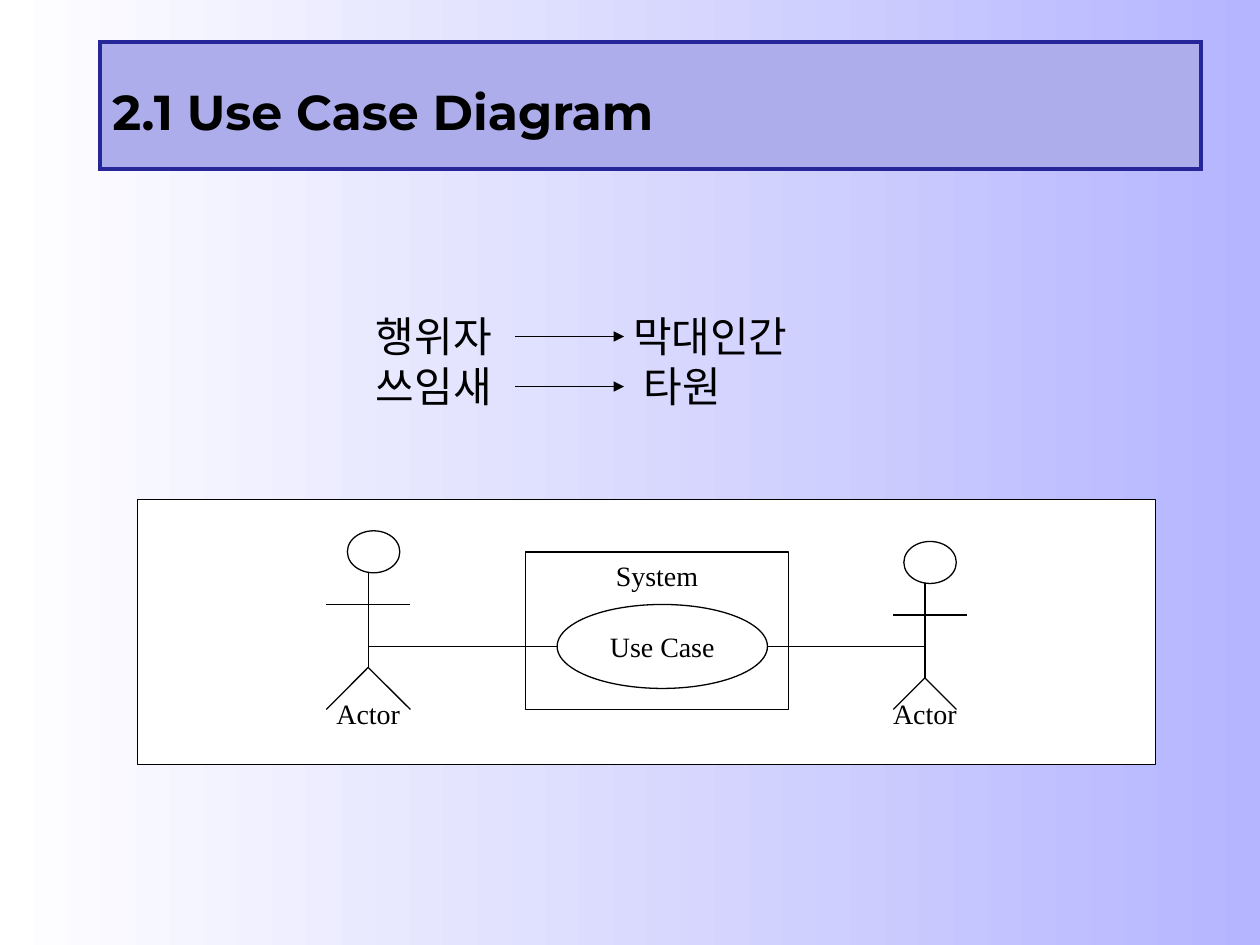
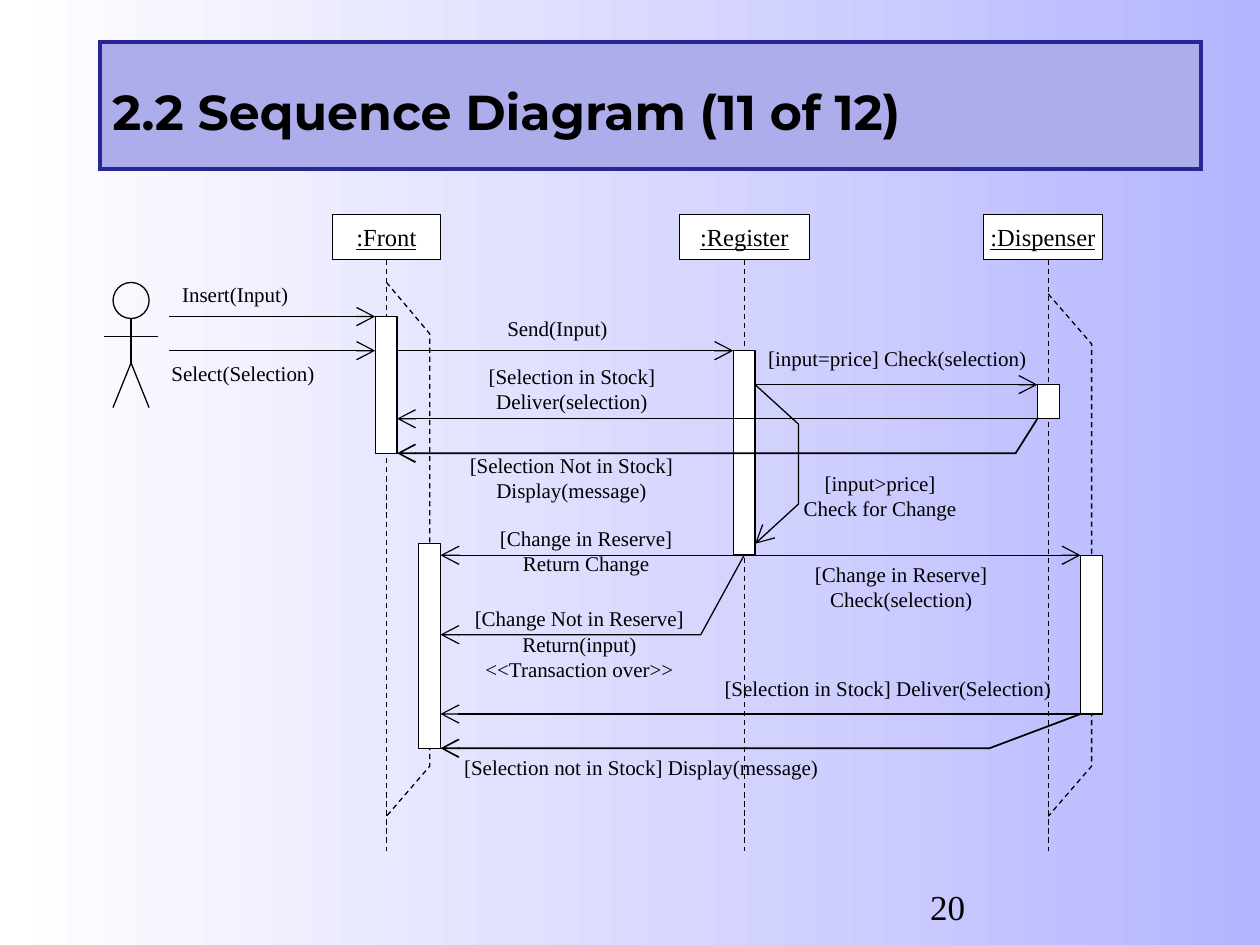
from dataclasses import dataclass

from lxml import etree
from pptx import Presentation
from pptx import util as u
from pptx.dml.color import RGBColor
from pptx.enum import dml, shapes, text
from pptx.oxml import ns


@dataclass(frozen=True)
class Theme:
    ink: RGBColor = RGBColor.from_string("000000")
    paper: RGBColor = RGBColor.from_string("FFFFFF")
    lavender: RGBColor = RGBColor.from_string("B5B5FF")
    band: RGBColor = RGBColor.from_string("ADADEB")
    band_edge: RGBColor = RGBColor.from_string("262699")
    body_font: str = "Times New Roman"
    title_font: str = "Montserrat"
    title: float = 28
    terms: float = 24
    number: float = 20
    figure: float = 16
    object: float = 14
    message: float = 12
    thin: float = 0.75
    medium: float = 1
    thick: float = 2.25


theme = Theme()
RECT = shapes.MSO_SHAPE.RECTANGLE
OVAL = shapes.MSO_SHAPE.OVAL
MIDDLE = text.MSO_ANCHOR.MIDDLE
TOP = text.MSO_ANCHOR.TOP
CENTER = text.PP_ALIGN.CENTER
LEFT = text.PP_ALIGN.LEFT


def add_box(page, place, kind=None, words="", size=theme.message, anchor=TOP, align=CENTER):
    lengths = [u.Pt(value) for value in place]
    if kind is None:
        box = page.shapes.add_textbox(*lengths)
    else:
        box = page.shapes.add_shape(kind, *lengths)
        box.shadow.inherit = False
        box.fill.solid()
        box.fill.fore_color.rgb = theme.paper
        box.line.color.rgb = theme.ink
        box.line.width = u.Pt(theme.thin)
    frame = box.text_frame
    frame.word_wrap = align == LEFT
    frame.vertical_anchor = anchor
    if words:
        frame.text = words
        for para in frame.paragraphs:
            para.alignment = align
            for span in para.runs:
                span.font.name = theme.body_font
                span.font.size = u.Pt(size)
                span.font.color.rgb = theme.ink
    return box


def add_path(page, points, head=None, head_size="med", dashed=False, weight=theme.thin):
    corners = [(u.Pt(x), u.Pt(y)) for x, y in points]
    if len(corners) == 2:
        line = page.shapes.add_connector(shapes.MSO_CONNECTOR.STRAIGHT, *corners[0], *corners[1])
        etree.SubElement(line.element.spPr, ns.qn("a:effectLst"))
    else:
        builder = page.shapes.build_freeform(*corners[0], scale=1.0)
        builder.add_line_segments(corners[1:], close=False)
        line = builder.convert_to_shape()
        line.shadow.inherit = False
        line.fill.background()
    line.line.color.rgb = theme.ink
    line.line.width = u.Pt(weight)
    if dashed:
        line.line.dash_style = dml.MSO_LINE.DASH
    if head:
        outline = line.element.spPr.find(ns.qn("a:ln"))
        etree.SubElement(outline, ns.qn("a:tailEnd"), type=head, w=head_size, len=head_size)


deck = Presentation()
deck.slide_width = u.Pt(720)
deck.slide_height = u.Pt(540)

backdrop = deck.slide_master.background.fill
backdrop.gradient()
backdrop.gradient_angle = 0
for stop, color in zip(backdrop.gradient_stops, (theme.paper, theme.lavender)):
    stop.color.rgb = color

pages = []
for heading in ("2.1 Use Case Diagram", "2.2 Sequence Diagram (11 of 12)"):
    page = deck.slides.add_slide(deck.slide_layouts[6])
    band = add_box(page, (57.2, 24.1, 629.3, 72.4), RECT, heading, theme.title, MIDDLE, LEFT)
    band.fill.fore_color.rgb = theme.band
    band.line.color.rgb = theme.band_edge
    band.line.width = u.Pt(theme.thick)
    etree.SubElement(band.element.spPr.find(ns.qn("a:ln")), ns.qn("a:miter"), lim="800000")
    para = band.text_frame.paragraphs[0]
    para.line_spacing = 1.2
    para.runs[0].font.name = theme.title_font
    para.runs[0].font.bold = True
    pages.append(page)
use_case, sequence = pages

add_box(use_case, (78.5, 285.4, 581.8, 151.4), RECT)

stick_figures = [
    (use_case, (198.5, 303.3, 30, 24), 210.4, 327.4, 381.4, (186.5, 234.5, 345.4), (186.5, 234.5, 405.4)),
    (use_case, (516.5, 309.4, 30, 24), 528.5, 333.4, 387.4, (510.5, 552.5, 351.4), (510.5, 546.5, 405.4)),
    (sequence, (64.6, 161.4, 20.6, 20.6), 74.9, 182, 207.4, (59.6, 90.4, 192.2), (64.6, 85.2, 232.9)),
]
for page, head, spine, neck, hip, arms, feet in stick_figures:
    face = add_box(page, head, OVAL)
    if page is sequence:
        face.fill.background()
    add_path(page, [(spine, neck), (spine, hip)])
    add_path(page, [(arms[0], arms[2]), (arms[1], arms[2])])
    for foot in feet[:2]:
        add_path(page, [(spine, hip), (foot, feet[2])])
    if page is use_case:
        add_box(page, (spine - 30, 394.7, 60, 26), words="Actor", size=theme.figure)

add_box(use_case, (300.3, 315.4, 150.2, 90), RECT, "System", theme.figure)
add_box(use_case, (318.4, 345.4, 120.2, 48), OVAL, "Use Case", theme.figure, MIDDLE)
for start, end in ((210.4, 318.4), (438.6, 528.5)):
    add_path(use_case, [(start, 369.4), (end, 369.4)])

terms = add_box(use_case, (207.7, 173.8, 335, 65), words="행위자\t막대인간\n쓰임새\t타원", size=theme.terms, align=LEFT)
for para, stop, y in zip(terms.text_frame.paragraphs, (147, 153), (192.3, 220.9)):
    tabs = etree.SubElement(para._p.get_or_add_pPr(), ns.qn("a:tabLst"))
    etree.SubElement(tabs, ns.qn("a:tab"), pos=str(u.Pt(stop)), algn="l")
    add_path(use_case, [(294.2, y), (356.6, y)], "triangle")

add_box(sequence, (524.4, 502.6, 95.8, 26), words="20", size=theme.number, align=LEFT)

lifelines = [
    (":Front", 189.8, 62, 220.8),
    (":Register", 388.3, 74.2, 425.3),
    (":Dispenser", 561.8, 68.4, 599),
]
for name, left, width, axis in lifelines:
    label = add_box(sequence, (left, 122.5, width, 25.9), RECT, name, theme.object, MIDDLE)
    label.text_frame.paragraphs[0].runs[0].font.underline = True
    add_path(sequence, [(axis, 148.4), (axis, 486)], dashed=True)
for axis, top, shoulder in ((220.8, 161.3, 190.8), (599, 168, 196.6)):
    side = axis + 24.8
    add_path(sequence, [(axis, top), (side, shoulder), (side, 437.8), (axis, 466.5)], dashed=True)

activations = [
    (214.4, 180.9, 259),
    (419, 200.4, 317.2),
    (592.8, 219.8, 239.3),
    (239.2, 310.7, 427.6),
    (617.5, 317.4, 408),
]
for left, top, bottom in activations:
    add_box(sequence, (left, top, 12.5, bottom - top), RECT)

messages = [
    [(96.6, 180.9), (214.4, 180.9)],
    [(96.6, 200.4), (214.4, 200.4)],
    [(226.9, 200.4), (419, 200.4)],
    [(431.5, 219.8), (592.8, 219.8)],
    [(592.8, 239.3), (226.9, 239.3)],
    [(431.5, 219.8), (456.3, 242.4), (456.3, 288), (431.5, 310.7)],
    [(419, 317.3), (251.7, 317.3)],
    [(431.5, 317.3), (617.5, 317.3)],
    [(425.3, 317.3), (400.5, 362.7), (251.7, 362.7)],
    [(617.5, 408), (251.7, 408)],
]
refusals = [
    [(592.8, 239.3), (580.4, 259), (226.9, 259)],
    [(617.5, 408), (565.4, 427.6), (251.7, 427.6)],
]
for points in messages:
    add_path(sequence, points, "arrow", "lg")
for points in refusals:
    add_path(sequence, points, "arrow", "lg", weight=theme.medium)

captions = [
    (134.4, 157.2, "Insert(Input)"),
    (138.9, 202.3, "Select(Selection)"),
    (318.5, 176.6, "Send(Input)"),
    (512.8, 193.8, "[input=price] Check(selection)"),
    (502.9, 265.5, "[input>price]\nCheck for Change"),
    (335, 296.8, "[Change in Reserve]\nReturn Change"),
    (515, 317.4, "[Change in Reserve]\nCheck(selection)"),
    (331.1, 342.7, "[Change Not in Reserve]\nReturn(input)\n<<Transaction over>>"),
    (507.5, 382.5, "[Selection in Stock] Deliver(Selection)"),
    (326.9, 204.3, "[Selection in Stock]\nDeliver(selection)"),
    (326.6, 255, "[Selection Not in Stock]\nDisplay(message)"),
    (366.5, 427.5, "[Selection not in Stock] Display(message)"),
]
for center, top, words in captions:
    lines = words.split("\n")
    width = 30 + 6 * max(len(line) for line in lines)
    height = 7.2 + 14.4 * len(lines)
    add_box(sequence, (center - width / 2, top, width, height), words=words)

deck.save("out.pptx")
